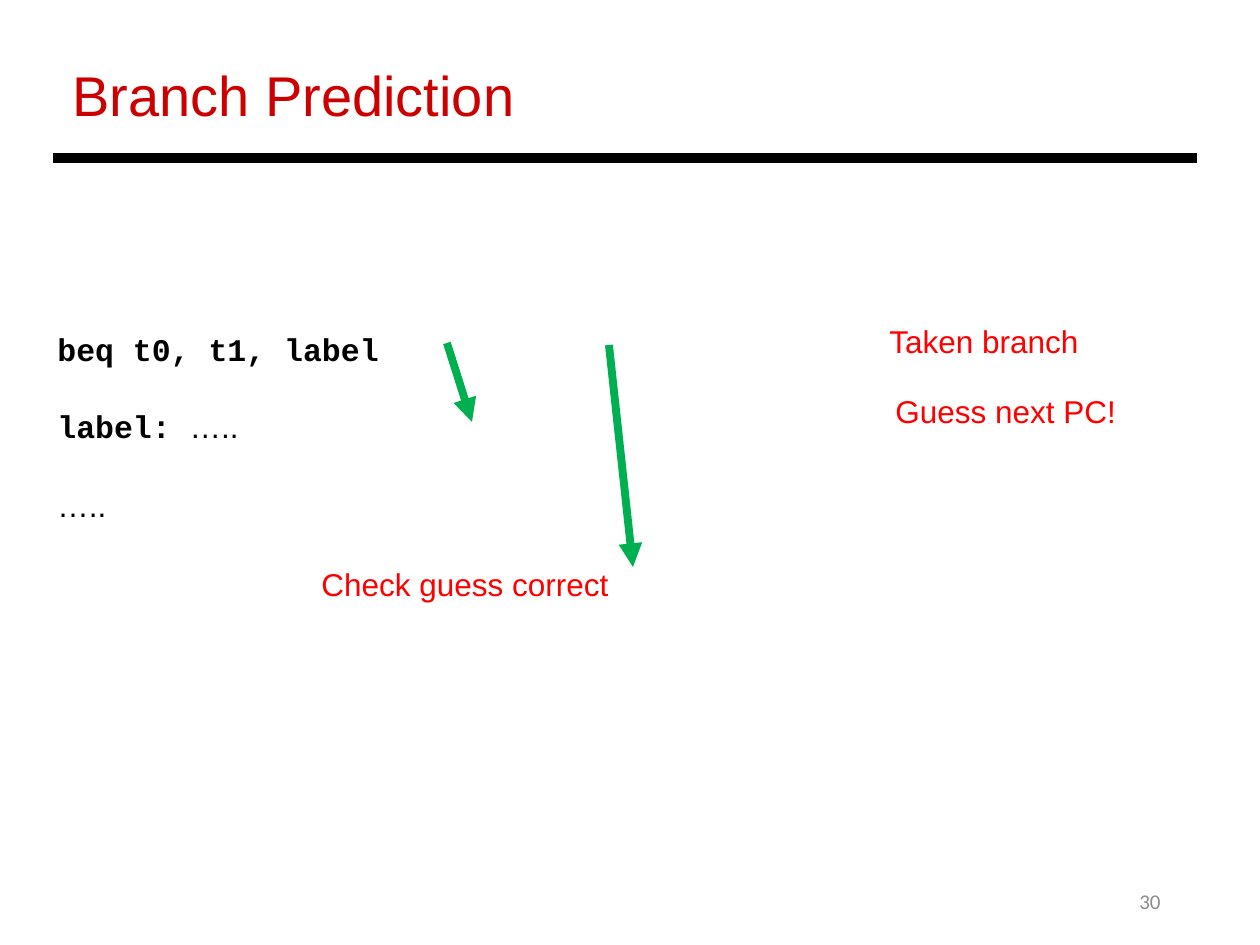
from lxml import etree
from pptx import Presentation
from pptx.dml.color import RGBColor
from pptx.enum import shapes, text
from pptx.oxml.ns import qn
from pptx.util import Inches, Pt

COLORS = {
    "title": "CC0000",
    "ink": "000000",
    "note": "FF0000",
    "arrow": "00B050",
    "number": "8C8C8C",
}
PX_PER_INCH = 126
LINE_HEIGHT = 50


def px(length):
    return Inches(length / PX_PER_INCH)


def add_text(slide, box, pieces, size, color, wrap=True):
    label = slide.shapes.add_textbox(*map(px, box))
    frame = label.text_frame
    frame.word_wrap = wrap
    paragraph = frame.paragraphs[0]
    for words, face, bold in pieces:
        run = paragraph.add_run()
        run.text = words
        run.font.name = face
        run.font.bold = bold
        run.font.size = Pt(size)
        run.font.color.rgb = RGBColor.from_string(COLORS[color])
    return frame


def add_line(slide, start, end, color, width, arrow=False):
    line = slide.shapes.add_connector(
        shapes.MSO_CONNECTOR.STRAIGHT, *map(px, start + end)
    )
    line.line.color.rgb = RGBColor.from_string(COLORS[color])
    line.line.width = Pt(width)
    if arrow:
        etree.SubElement(line.line._get_or_add_ln(), qn("a:tailEnd"), type="triangle")
    etree.SubElement(line._element.spPr, qn("a:effectLst"))


def add_header(slide, left, top, width):
    title = [("Branch Prediction", "Arial", False)]
    add_text(slide, (left + 7, top, 1106, 81), title, 32, "title")
    rule_y = top + 104
    add_line(slide, (left, rule_y), (left + width, rule_y), "ink", 6)


def add_code(slide, left, top):
    listing = [
        (0, 348, [("beq t0, t1, label", "Courier New", True)]),
        (77, 208, [("label: ", "Courier New", True), ("…..", "Arial", False)]),
        (156, 74, [("…..", "Arial", False)]),
    ]
    for offset, width, pieces in listing:
        box = (left, top + offset, width, LINE_HEIGHT)
        add_text(slide, box, pieces, 18, "ink", wrap=False)


def add_guesses(slide, left, top):
    notes = [
        ("Taken branch", 568, 0),
        ("Guess next PC!", 574, 70),
        ("Check guess correct", 0, 243),
    ]
    for words, x, y in notes:
        box = (left + x, top + y, 320, LINE_HEIGHT)
        add_text(slide, box, [(words, "Arial", False)], 18, "note")

    for x, y, run, drop in [(138, 27, 25, 79), (300, 29, 24, 222)]:
        start = (left + x, top + y)
        end = (start[0] + run, start[1] + drop)
        add_line(slide, start, end, "arrow", 4.5, arrow=True)


def add_page_number(slide, box):
    frame = add_text(slide, box, [("30", "Calibri", False)], 12, "number")
    frame.vertical_anchor = text.MSO_ANCHOR.MIDDLE
    frame.paragraphs[0].alignment = text.PP_ALIGN.RIGHT


def main():
    deck = Presentation()
    deck.slide_width, deck.slide_height = px(1260), px(945)
    slide = deck.slides.add_slide(deck.slide_layouts[6])
    add_page_number(slide, (890, 876, 283, 50))
    add_header(slide, 53, 54, 1144)
    add_code(slide, 45, 324)
    add_guesses(slide, 309, 316)
    deck.save("out.pptx")


if __name__ == "__main__":
    main()
